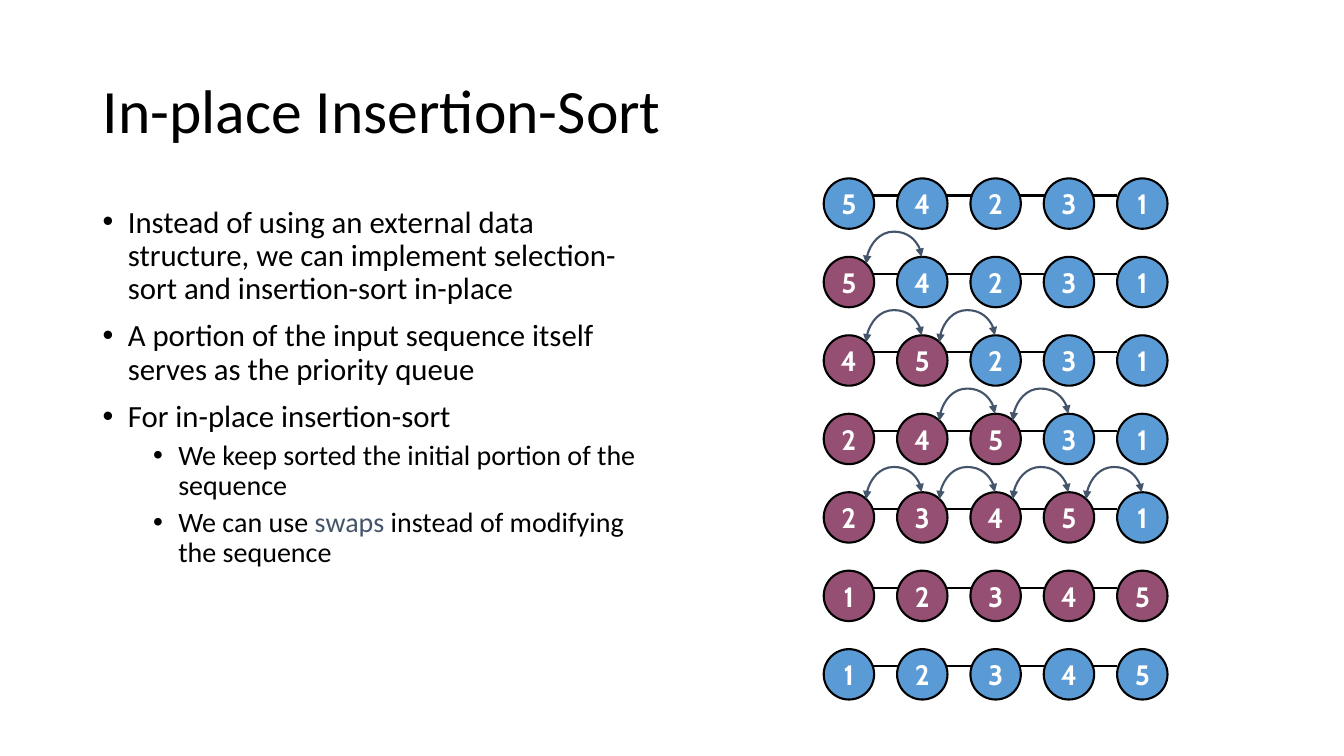
from lxml.etree import SubElement
from pptx import Presentation
from pptx.dml.color import RGBColor
from pptx.enum.shapes import MSO_CONNECTOR as Link, MSO_SHAPE as Shape
from pptx.enum.text import MSO_ANCHOR as Anchor, PP_ALIGN as Align
from pptx.oxml.ns import qn
from pptx.util import Inches, Pt

BLACK = RGBColor(0x00, 0x00, 0x00)
WHITE = RGBColor(0xFF, 0xFF, 0xFF)
BLUE = RGBColor(0x5B, 0x9B, 0xD5)
PLUM = RGBColor(0x95, 0x4F, 0x72)
SLATE = RGBColor(0x44, 0x54, 0x6A)

LEFT, TOP, SIZE = 8.17, 1.77, 0.5
COLUMN_STEP = (11.08 - LEFT) / 4
ROW_STEP = (6.44 - TOP) / 6

BULLETS = [
    (0, [("Instead of using an external data structure, we can implement "
          "selection-sort and insertion-sort in-place", BLACK)]),
    (0, [("A portion of the input sequence itself serves as the priority queue", BLACK)]),
    (0, [("For in-place insertion-sort", BLACK)]),
    (1, [("We keep sorted the initial portion of the sequence", BLACK)]),
    (1, [("We can use ", BLACK), ("swaps", SLATE),
         (" instead of modifying the sequence", BLACK)]),
]

# sequence, sorted count, columns where a swap begins
PASSES = [
    ("54231", 0, []),
    ("54231", 1, [0]),
    ("45231", 2, [1, 0]),
    ("24531", 3, [1, 2]),
    ("23451", 4, [3, 1, 0, 2]),
    ("12345", 5, []),
    ("12345", 0, []),
]


class SlideBuilder:
    text_font = "Calibri"
    node_font = "Cabin"
    stroke = Pt(1.5)

    def __init__(self, page):
        self.page = page

    def add_span(self, para, text, size, color, font, bold=False):
        span = para.add_run()
        span.text = text
        span.font.size = Pt(size)
        span.font.name = font
        span.font.bold = bold
        span.font.color.rgb = color

    def add_box(self, left, top, width, height, anchor):
        box = self.page.shapes.add_textbox(
            Inches(left), Inches(top), Inches(width), Inches(height))
        box.text_frame.word_wrap = True
        box.text_frame.vertical_anchor = anchor
        return box.text_frame

    def add_title(self, text):
        para = self.add_box(0.92, 0.4, 11.5, 1.45, Anchor.MIDDLE).paragraphs[0]
        para.line_spacing = 0.9
        self.add_span(para, text, 44, BLACK, self.text_font)

    def add_bullets(self, bullets):
        frame = self.add_box(0.92, 2, 5.67, 4.76, Anchor.TOP)
        for index, (level, spans) in enumerate(bullets):
            para = frame.add_paragraph() if index else frame.paragraphs[0]
            para.level = level
            para.line_spacing = 0.9
            para.space_before = Pt(5 if level else 10)
            props = para._p.get_or_add_pPr()
            props.set("marL", str(Inches(0.25 + 0.5 * level)))
            props.set("indent", str(Inches(-0.25)))
            SubElement(props, qn("a:buFont")).set("typeface", "Arial")
            SubElement(props, qn("a:buChar")).set("char", "\u2022")
            for text, color in spans:
                self.add_span(para, text, 20 if level else 22, color, self.text_font)

    def add_link(self, kind, start, end, color):
        link = self.page.shapes.add_connector(
            kind, *(Inches(value) for value in (*start, *end)))
        link.line.color.rgb = color
        link.line.width = self.stroke
        SubElement(link._element.spPr, qn("a:effectLst"))
        return link

    def add_node(self, left, top, digit, color):
        node = self.page.shapes.add_shape(
            Shape.OVAL, Inches(left), Inches(top), Inches(SIZE), Inches(SIZE))
        node.shadow.inherit = False
        node.fill.solid()
        node.fill.fore_color.rgb = color
        node.line.color.rgb = BLACK
        node.line.width = self.stroke
        frame = node.text_frame
        frame.word_wrap = False
        frame.vertical_anchor = Anchor.MIDDLE
        para = frame.paragraphs[0]
        para.alignment = Align.CENTER
        self.add_span(para, digit, 20, WHITE, self.node_font, bold=True)

    def add_swap(self, left, top):
        width, height = 0.07, 0.55
        arc = self.add_link(Link.CURVE, (left + width, top + height), (left, top), SLATE)
        props = arc._element.spPr
        props.find(qn("a:xfrm")).set("rot", "16200000")
        guides = props.find(qn("a:prstGeom")).find(qn("a:avLst"))
        guide = SubElement(guides, qn("a:gd"))
        guide.set("name", "adj1")
        guide.set("fmla", "val -357000")
        line = arc.line._get_or_add_ln()
        for end in ("a:headEnd", "a:tailEnd"):
            SubElement(line, qn(end)).set("type", "triangle")

    def add_pass(self, top, digits, sorted_count):
        self.add_link(Link.STRAIGHT, (8.5, top + 0.17), (11.08, top + 0.17), BLACK)
        for column, digit in enumerate(digits):
            color = PLUM if column < sorted_count else BLUE
            self.add_node(LEFT + column * COLUMN_STEP, top, digit, color)


deck = Presentation()
deck.slide_width, deck.slide_height = Inches(13.33), Inches(7.5)
builder = SlideBuilder(deck.slides.add_slide(deck.slide_layouts[6]))
builder.add_title("In-place Insertion-Sort")
builder.add_bullets(BULLETS)

for row, (digits, sorted_count, _) in enumerate(PASSES):
    builder.add_pass(TOP + row * ROW_STEP, digits, sorted_count)
for row, (_, _, swaps) in enumerate(PASSES):
    for column in swaps:
        builder.add_swap(LEFT + 0.66 + column * COLUMN_STEP, TOP - 0.24 + row * ROW_STEP)

deck.save("out.pptx")
